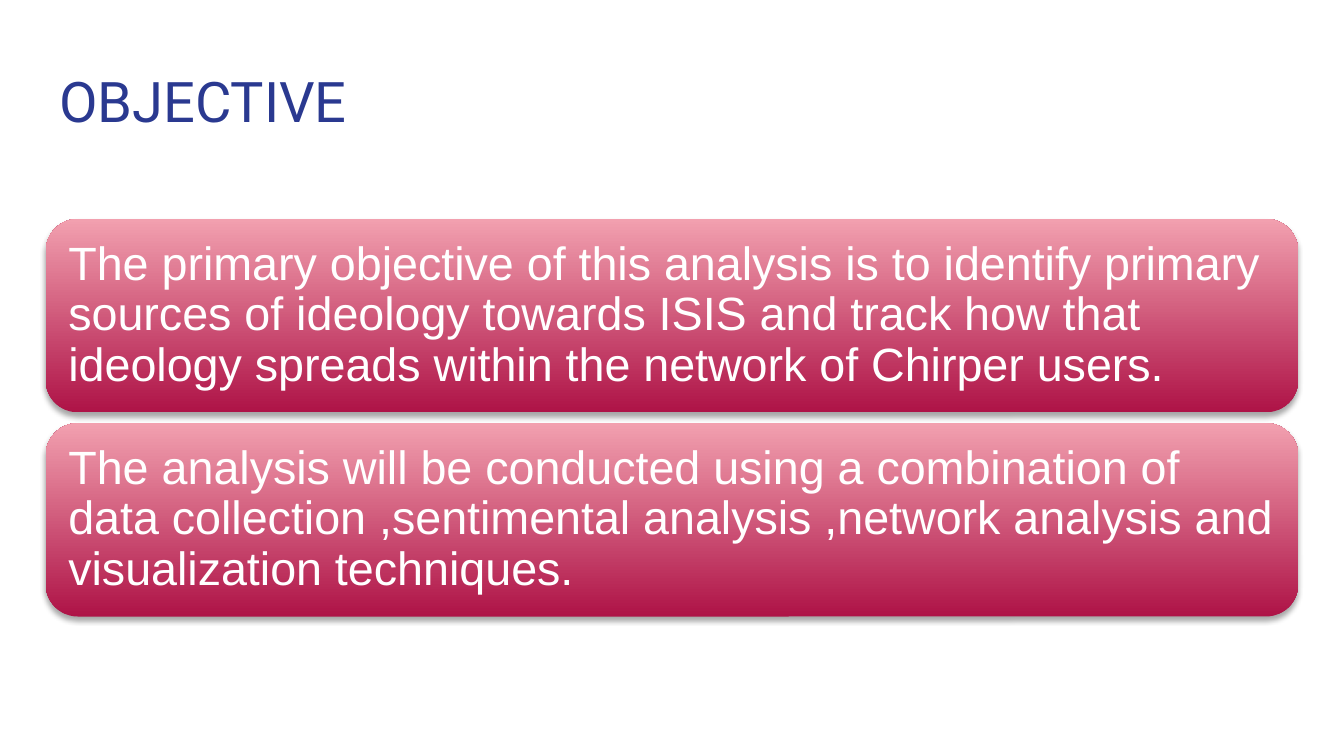
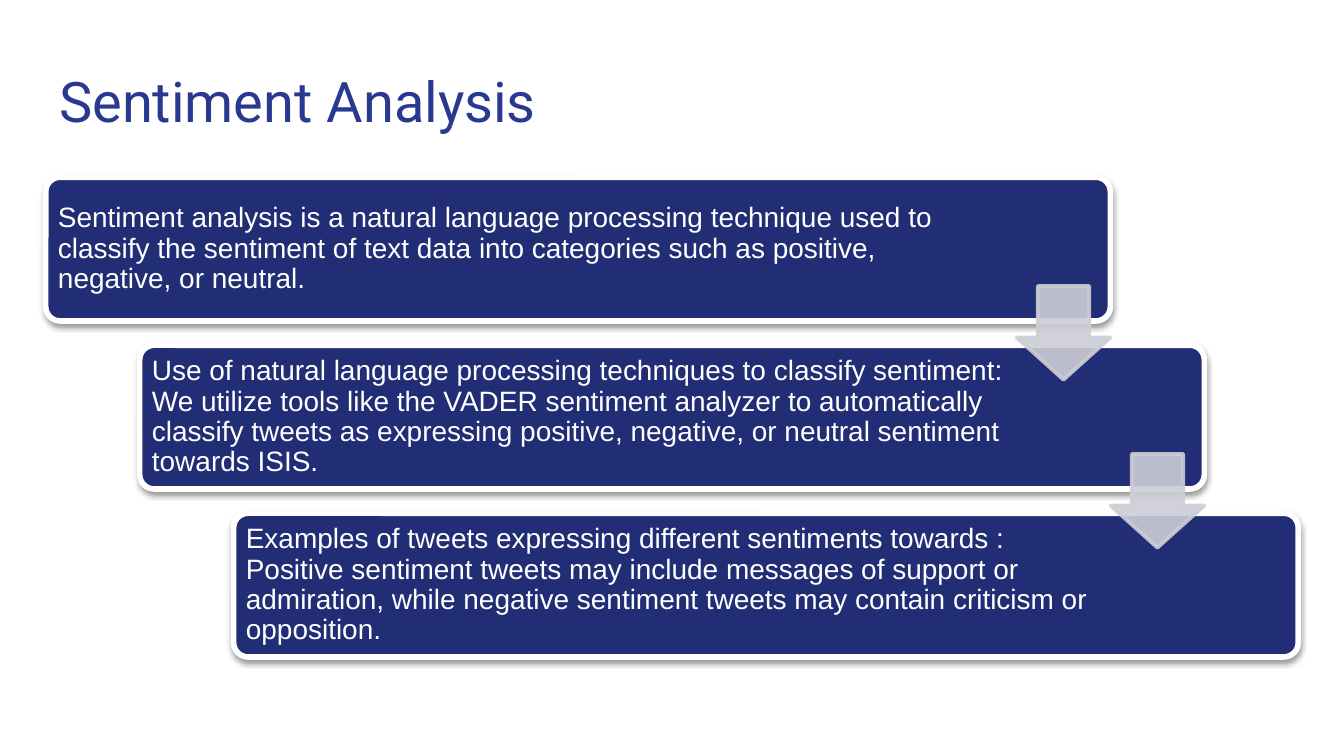
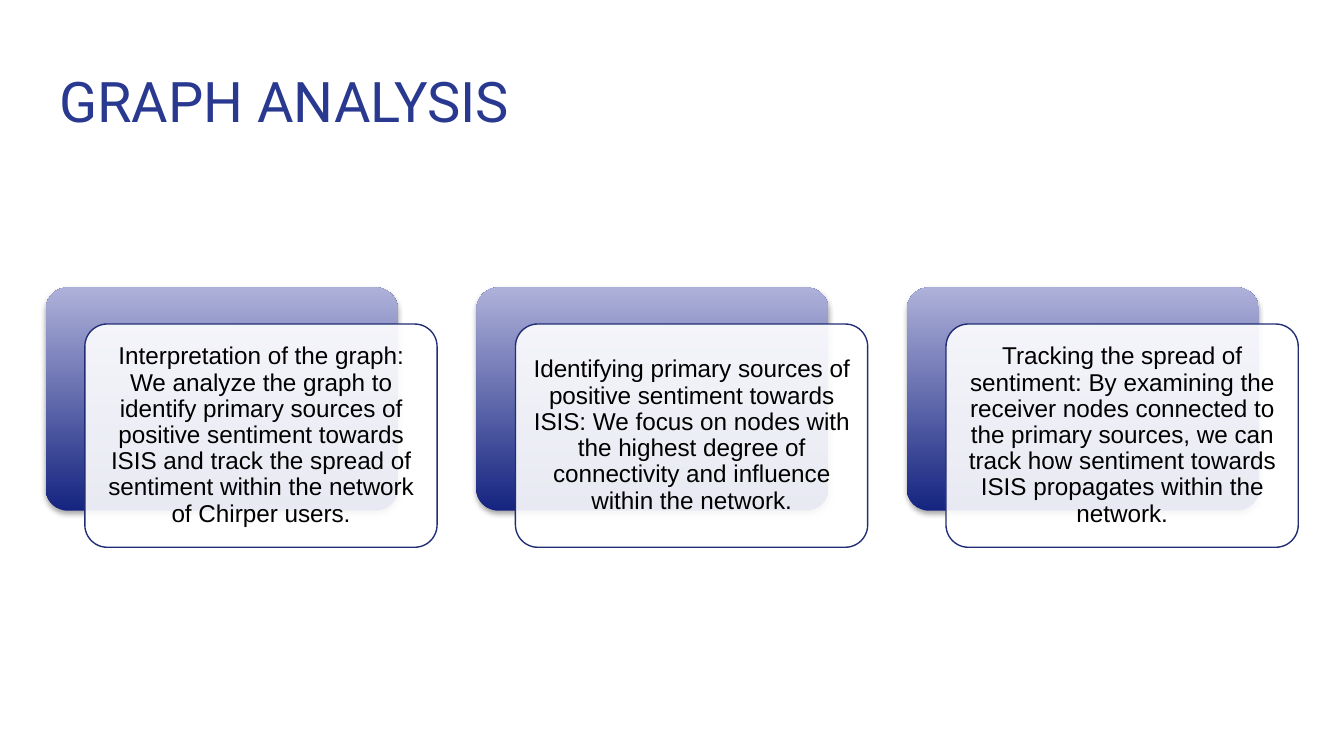
from pptx import Presentation
from pptx.dml.color import RGBColor
from pptx.enum.shapes import MSO_SHAPE as Preset
from pptx.enum.text import MSO_ANCHOR as Anchor, MSO_AUTO_SIZE as AutoSize, PP_ALIGN as Align
from pptx.oxml.ns import qn
from pptx.util import Pt
from lxml.etree import SubElement

# Shared style
TITLE_BLUE = RGBColor(0x2A, 0x39, 0x90)
NAVY = RGBColor(0x21, 0x2D, 0x74)
CRIMSON = RGBColor(0xAE, 0x13, 0x47)
PINK = RGBColor(0xF2, 0xA0, 0xAF)
DEEP_BLUE = RGBColor(0x15, 0x24, 0x80)
LAVENDER = RGBColor(0xAE, 0xB1, 0xD9)
ARROW_GREY = RGBColor(0xCD, 0xCD, 0xD6)
WHITE = RGBColor(0xFF, 0xFF, 0xFF)
BLACK = RGBColor(0, 0, 0)
TITLE_FONT, BODY_FONT = "Roboto", "Arial"
LEFT, WIDTH = 24.5, 671

OBJECTIVES = [
    "The primary objective of this analysis is to identify primary sources of ideology "
    "towards ISIS and track how that ideology spreads within the network of Chirper users.",
    "The analysis will be conducted using a combination of data collection ,sentimental "
    "analysis ,network analysis and visualization techniques.",
]
SENTIMENT_STEPS = [
    "Sentiment analysis is a natural language processing technique used to classify the "
    "sentiment of text data into categories such as positive, negative, or neutral.",
    "Use of natural language processing techniques to classify sentiment: We utilize tools "
    "like the VADER sentiment analyzer to automatically classify tweets as expressing "
    "positive, negative, or neutral sentiment towards ISIS.",
    "Examples of tweets expressing different sentiments towards : Positive sentiment tweets "
    "may include messages of support or admiration, while negative sentiment tweets may "
    "contain criticism or opposition.",
]
GRAPH_FINDINGS = [
    "Interpretation of the graph: We analyze the graph to identify primary sources of "
    "positive sentiment towards ISIS and track the spread of sentiment within the network "
    "of Chirper users.",
    "Identifying primary sources of positive sentiment towards ISIS: We focus on nodes with "
    "the highest degree of connectivity and influence within the network.",
    "Tracking the spread of sentiment: By examining the receiver nodes connected to the "
    "primary sources, we can track how sentiment towards ISIS propagates within the network.",
]


def write(shape, text, size, color, inset, font=BODY_FONT, align=Align.LEFT, right=None):
    frame = shape.text_frame
    frame.word_wrap = True
    frame.auto_size = AutoSize.NONE
    frame.vertical_anchor = Anchor.MIDDLE
    frame.margin_left = frame.margin_top = frame.margin_bottom = Pt(inset)
    frame.margin_right = Pt(inset if right is None else right)
    paragraph = frame.paragraphs[0]
    paragraph.alignment = align
    paragraph.line_spacing = 0.9
    run = paragraph.add_run()
    run.text = text
    run.font.name, run.font.size = font, Pt(size)
    run.font.color.rgb = color


def add_preset(slide, preset, box, adjustments=(), fill=None, gradient=None):
    """Add a shape without line or shadow; a gradient is (bottom, top)."""
    shape = slide.shapes.add_shape(preset, *(Pt(length) for length in box))
    for i, value in enumerate(adjustments):
        shape.adjustments[i] = value
    if gradient:
        shape.fill.gradient()
        shape.fill.gradient_angle = 90
        for stop, color in zip(shape.fill.gradient_stops, gradient):
            stop.color.rgb = color
    else:
        shape.fill.solid()
        shape.fill.fore_color.rgb = fill
    shape.line.fill.background()
    shape.shadow.inherit = False
    return shape


def outline(shape, color, width):
    shape.line.color.rgb = color
    shape.line.width = Pt(width)


def make_translucent(shape, percent=90):
    for color in shape._element.spPr.iter(qn("a:srgbClr")):
        SubElement(color, qn("a:alpha"), val=str(percent * 1000))


def drop_shadow(shape, percent=35, distance=1.8):
    effects = shape._element.spPr.find(qn("a:effectLst"))
    shadow = SubElement(effects, qn("a:outerShdw"), blurRad=str(Pt(3.1)),
                        dist=str(Pt(distance)), dir="5400000", rotWithShape="0")
    color = SubElement(shadow, qn("a:srgbClr"), val=str(BLACK))
    SubElement(color, qn("a:alpha"), val=str(percent * 1000))


def add_titled_slide(deck, heading):
    slide = deck.slides.add_slide(deck.slide_layouts[5])
    title = slide.shapes.title
    title.left, title.top = Pt(LEFT), Pt(32.4)
    title.width, title.height = Pt(WIDTH), Pt(47.5)
    write(title, heading, 30, TITLE_BLUE, 7.2, TITLE_FONT)
    return slide


# Full-width banners stacked with equal gaps
def add_objectives(slide, box, objectives, gap=5.8):
    left, top, width, height = box
    banner_height = (height - gap * (len(objectives) - 1)) / len(objectives)
    for i, objective in enumerate(objectives):
        banner_top = top + i * (banner_height + gap)
        banner = add_preset(slide, Preset.ROUNDED_RECTANGLE,
                            (left, banner_top, width, banner_height),
                            gradient=(CRIMSON, PINK))
        drop_shadow(banner)
        write(banner, objective, 25, WHITE, 7.2)


# Staircase of cards, each leading to the next by an arrow
def add_staircase(slide, box, steps, card_height=77, arrow_size=50.2):
    left, top, width, height = box
    card_width = width * 0.85
    indent = (width - card_width) / (len(steps) - 1)
    rise = (height - card_height) / (len(steps) - 1)
    for i, step in enumerate(steps):
        card = add_preset(slide, Preset.ROUNDED_RECTANGLE,
                          (left + i * indent, top + i * rise, card_width, card_height),
                          [0.1], fill=NAVY)
        outline(card, WHITE, 3)
        drop_shadow(card, 38, 1.6)
        write(card, step, 15, WHITE, 4.3, right=105 if i else 83.5)
    for i in range(len(steps) - 1):
        arrow = add_preset(slide, Preset.DOWN_ARROW,
                           (left + i * indent + card_width - arrow_size,
                            top + i * rise + 58.2, arrow_size, arrow_size),
                           [0.55, 0.45], fill=ARROW_GREY)
        outline(arrow, ARROW_GREY, 2)
        make_translucent(arrow)


# Row of text panels, each offset over a gradient backing
def add_findings(slide, box, findings, shift_x=21, shift_y=19.6, gap=21):
    left, top, width, height = box
    pitch = (width + gap) / len(findings)
    panel_width, panel_height = pitch - gap - shift_x, height - shift_y
    for i, finding in enumerate(findings):
        x = left + i * pitch
        backing = add_preset(slide, Preset.ROUNDED_RECTANGLE,
                             (x, top, panel_width, panel_height),
                             [0.1], gradient=(DEEP_BLUE, LAVENDER))
        drop_shadow(backing)
        panel = add_preset(slide, Preset.ROUNDED_RECTANGLE,
                           (x + shift_x, top + shift_y, panel_width, panel_height),
                           [0.1], fill=WHITE)
        make_translucent(panel)
        outline(panel, NAVY, 0.75)
        write(panel, finding, 13, BLACK, 3.6, align=Align.CENTER)


def main():
    deck = Presentation()
    deck.slide_width, deck.slide_height = Pt(720), Pt(405)
    add_objectives(add_titled_slide(deck, "OBJECTIVE"),
                   (LEFT, 117.3, WIDTH, 213), OBJECTIVES)
    add_staircase(add_titled_slide(deck, "Sentiment Analysis"),
                  (LEFT, 95, WIDTH, 257), SENTIMENT_STEPS)
    add_findings(add_titled_slide(deck, "GRAPH ANALYSIS"),
                 (LEFT, 154, WIDTH, 139.2), GRAPH_FINDINGS)
    deck.save("out.pptx")


if __name__ == "__main__":
    main()
